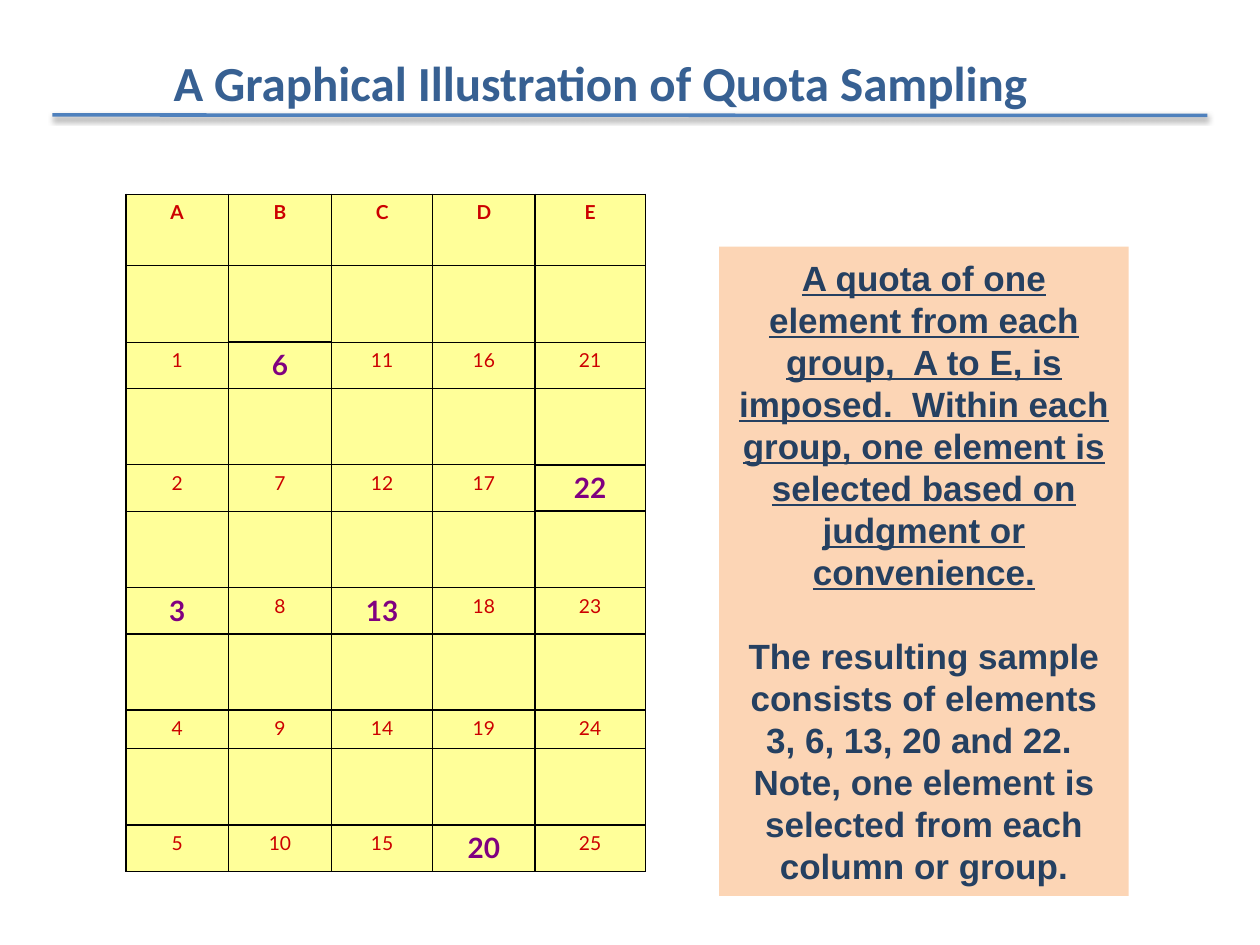
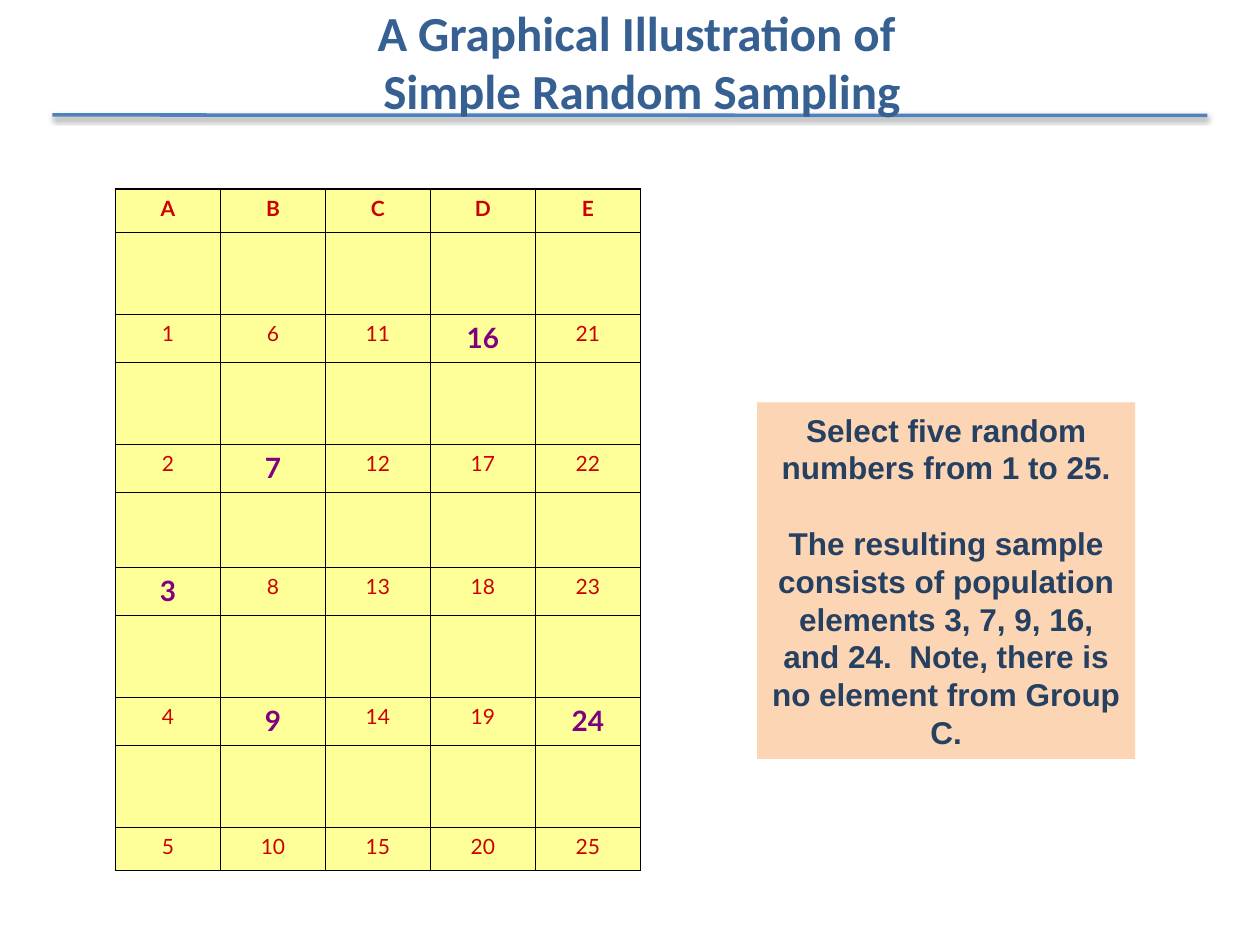
from lxml import etree
from pptx import Presentation
from pptx import util as u
from pptx.dml.color import RGBColor
from pptx.enum import shapes, text
from pptx.oxml import ns

Pt = u.Pt
TITLE_BLUE = RGBColor(0x37, 0x60, 0x92)
RULE_BLUE = RGBColor(0x4F, 0x81, 0xBD)
NAVY = RGBColor(0x25, 0x40, 0x61)
PEACH = RGBColor(0xFC, 0xD5, 0xB5)
YELLOW = RGBColor(0xFF, 0xFF, 0x99)
RED = RGBColor(0xCC, 0x00, 0x00)
PURPLE = RGBColor(0x80, 0x00, 0x80)
BLACK = RGBColor(0, 0, 0)

GROUPS = "ABCDE"
GROUP_SIZE = 5


def add_xml(parent, tag, **attrs):
    el = etree.SubElement(parent, ns.qn(tag))
    for name, value in attrs.items():
        el.set(name, str(value))
    return el


class Deck:
    def __init__(self):
        self.prs = Presentation()
        self.prs.slide_width, self.prs.slide_height = Pt(720), Pt(540)
        self.s = None

    def slide(self):
        self.s = self.prs.slides.add_slide(self.prs.slide_layouts[6])
        self.rule()

    def rule(self):
        line = self.s.shapes.add_connector(
            shapes.MSO_CONNECTOR.STRAIGHT, Pt(30), Pt(65.7), Pt(690), Pt(66))
        line.line.color.rgb = RULE_BLUE
        line.line.width = Pt(2)
        effects = add_xml(line._element.spPr, "a:effectLst")
        shadow = add_xml(effects, "a:outerShdw", blurRad=Pt(3.1), dist=Pt(1.6),
                         dir=5400000, rotWithShape=0)
        color = add_xml(shadow, "a:srgbClr", val=BLACK)
        add_xml(color, "a:alpha", val=38000)

    def style(self, p, font, size, color, bold=True, underline=None):
        p.alignment = text.PP_ALIGN.CENTER
        for r in p.runs:
            r.font.name, r.font.size = font, Pt(size)
            r.font.bold, r.font.underline = bold, underline
            r.font.color.rgb = color

    def title(self, words, left, top, width, height):
        sp = self.s.shapes.add_textbox(Pt(left), Pt(top), Pt(width), Pt(height))
        tf = sp.text_frame
        tf.word_wrap = True
        tf.vertical_anchor = text.MSO_ANCHOR.MIDDLE
        tf.text = words
        self.style(tf.paragraphs[0], "Calibri", 28, TITLE_BLUE)

    def note(self, rule, result, left, top, width, height, size, underline=None):
        sp = self.s.shapes.add_shape(shapes.MSO_SHAPE.RECTANGLE,
                                     Pt(left), Pt(top), Pt(width), Pt(height))
        sp.shadow.inherit = False
        sp.fill.solid()
        sp.fill.fore_color.rgb = PEACH
        sp.line.fill.background()
        tf = sp.text_frame
        tf.word_wrap = True
        tf.vertical_anchor = text.MSO_ANCHOR.MIDDLE
        tf.text = rule
        self.style(tf.paragraphs[0], "Arial", size, NAVY, underline=underline)
        p = tf.add_paragraph()
        p.text = result
        p.space_before = Pt(1.2 * size)
        self.style(p, "Arial", size, NAVY)

    def borders(self, cell, row, col, picked):
        tcPr = cell._tc.get_or_add_tcPr()
        neighbours = {"L": (row, col - 1), "R": (row, col + 1),
                      "T": (row - 1, col), "B": (row + 1, col)}
        for side, neighbour in neighbours.items():
            heavy = (row, col) in picked or neighbour in picked
            ln = add_xml(tcPr, f"a:ln{side}", w=Pt(1 if heavy else 0.75))
            add_xml(add_xml(ln, "a:solidFill"), "a:srgbClr", val=BLACK)

    def population(self, sample, left, top, widths, heights, size):
        table = self.s.shapes.add_table(
            len(heights), len(widths), Pt(left), Pt(top),
            Pt(sum(widths)), Pt(sum(heights))).table
        table.first_row = table.horz_banding = False
        for column, width in zip(table.columns, widths):
            column.width = Pt(width)
        for line, height in zip(table.rows, heights):
            line.height = Pt(height)
        picked = {(2 * ((n - 1) % GROUP_SIZE + 1), (n - 1) // GROUP_SIZE)
                  for n in sample}
        for row in range(len(heights)):
            for col, group in enumerate(GROUPS):
                cell = table.cell(row, col)
                self.borders(cell, row, col, picked)
                cell.fill.solid()
                cell.fill.fore_color.rgb = YELLOW
                if row % 2:
                    continue
                p = cell.text_frame.paragraphs[0]
                p.text = str(row // 2 + GROUP_SIZE * col) if row else group
                if (row, col) in picked:
                    self.style(p, "Lato", 16, PURPLE)
                else:
                    self.style(p, "Lato", size, RED, bold=row == 0)


def main():
    deck = Deck()

    deck.slide()
    deck.title("A Graphical Illustration of Quota Sampling", 8, 15, 670, 63.5)
    deck.population(
        {3, 6, 13, 20, 22}, 72, 111, [58.5, 59, 57.8, 58.5, 63],
        [40.8] + [43.7, 26.5] * 3 + [43.5, 22, 43.7, 26.5], 11)
    deck.note(
        "A quota of one element from each group,  A to E, is imposed.  Within "
        "each group, one element is selected based on judgment or convenience.",
        "The resulting sample consists of elements 3, 6, 13, 20 and 22.  Note, "
        "one element is selected from each column or group.",
        411, 141, 234, 371, 20, underline=True)

    deck.slide()
    deck.title("A Graphical Illustration of \vSimple Random Sampling",
               60, -3, 613.5, 75.6)
    deck.population(
        {3, 7, 9, 16, 24}, 66, 108, [60] * len(GROUPS),
        [24.8] + [46.8, 27.5] * 2 + [42.8, 27.5] + [46.8, 27.5, 46.8, 24.8], 12)
    deck.note(
        "Select five random numbers from 1 to 25.",
        "The resulting sample consists of population elements 3, 7, 9, 16, "
        "and 24.  Note, there is no element from Group C.",
        432.7, 230, 216, 203.7, 18)

    deck.prs.save("out.pptx")


if __name__ == "__main__":
    main()
